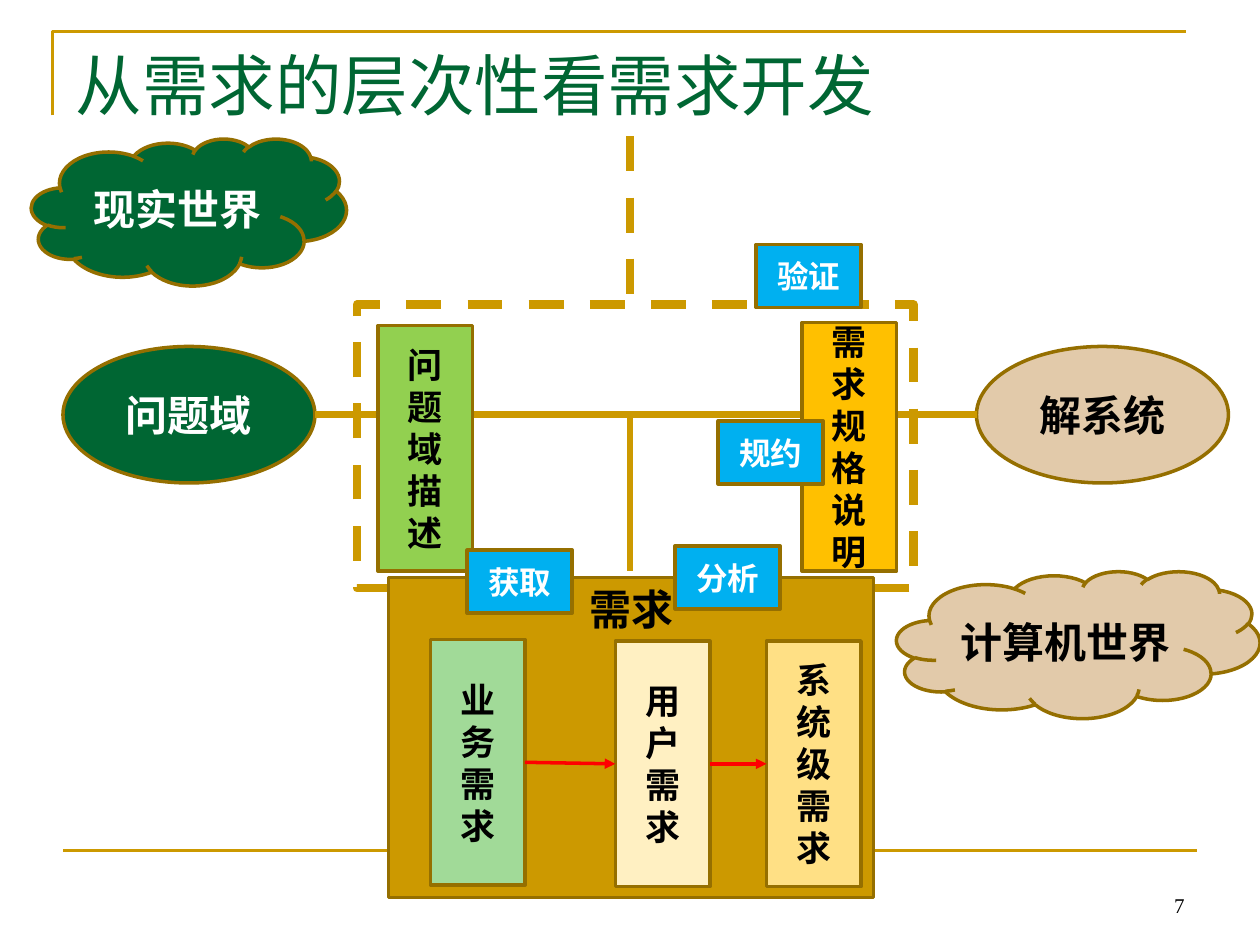
import pptx
import pptx.util
import pptx.dml.color
import pptx.enum.dml
import pptx.enum.shapes
import pptx.enum.text
import lxml.etree

Color = pptx.dml.color.RGBColor
Shape = pptx.enum.shapes.MSO_SHAPE
Anchor = pptx.enum.text.MSO_ANCHOR
Align = pptx.enum.text.PP_ALIGN
DASH = pptx.enum.dml.MSO_LINE.DASH

GOLD = Color(0xCC, 0x99, 0x00)
BROWN = Color(0x95, 0x6F, 0x00)
GREEN = Color(0x00, 0x66, 0x33)
SAND = Color(0xE2, 0xCA, 0xAA)
LIME = Color(0x92, 0xD0, 0x50)
AMBER = Color(0xFF, 0xC0, 0x00)
MINT = Color(0xA1, 0xDA, 0x98)
CREAM = Color(0xFF, 0xF0, 0xC2)
YELLOW = Color(0xFF, 0xE0, 0x85)
SKY = Color(0x00, 0xB0, 0xF0)
RED = Color(0xFF, 0x00, 0x00)
WHITE = Color(0xFF, 0xFF, 0xFF)
BLACK = Color(0x00, 0x00, 0x00)

deck = pptx.Presentation()
deck.slide_width = pptx.util.Inches(10)
deck.slide_height = pptx.util.Inches(7.5)
COLUMN = deck.slide_width / 120
ROW = deck.slide_height / 90
page = deck.slides.add_slide(deck.slide_layouts[5])


def add_box(kind, area, fill, text="", size=24, ink=BLACK, anchor=Anchor.MIDDLE):
    left, top, width, height = area
    box = page.shapes.add_shape(
        kind, round(left * COLUMN), round(top * ROW), round(width * COLUMN), round(height * ROW))
    box.shadow.inherit = False
    box.fill.solid()
    box.fill.fore_color.rgb = fill
    box.line.color.rgb = BROWN
    box.line.width = pptx.util.Pt(2)
    box.text_frame.word_wrap = True
    box.text_frame.vertical_anchor = anchor
    para = box.text_frame.paragraphs[0]
    para.alignment = Align.CENTER
    if text:
        span = para.add_run()
        span.text = text
        style = {"name": "Arial", "size": pptx.util.Pt(size), "bold": True}
        for name, value in style.items():
            setattr(span.font, name, value)
        span.font.color.rgb = ink
    return box


def add_line(start, end, color, width):
    line = page.shapes.add_connector(
        pptx.enum.shapes.MSO_CONNECTOR.STRAIGHT,
        round(start[0] * COLUMN), round(start[1] * ROW),
        round(end[0] * COLUMN), round(end[1] * ROW))
    line.line.color.rgb = color
    line.line.width = pptx.util.Pt(width)
    lxml.etree.SubElement(line._element.spPr, pptx.oxml.ns.qn("a:effectLst"))
    return line


builder = page.shapes.build_freeform(5, 11, scale=COLUMN)
builder.add_line_segments([(5, 3), (113, 3)], close=False)
corner = builder.convert_to_shape()
corner.shadow.inherit = False
corner.fill.background()
corner.line.color.rgb = GOLD
corner.line.width = pptx.util.Pt(1.5)
add_line((6, 81), (114, 81), GOLD, 1.5)

title = page.shapes.title
number = page.shapes.add_textbox(0, 0, 0, 0)
for box, area, text, size, ink, align, anchor in [
    (title, (6, 3.6, 108, 15), "从需求的层次性看需求开发", 38, GREEN, Align.LEFT, Anchor.TOP),
    (number, (86, 82, 28, 6), "7", 12, BLACK, Align.RIGHT, Anchor.BOTTOM),
]:
    for name, share, unit in zip(("left", "top", "width", "height"), area, (COLUMN, ROW) * 2):
        setattr(box, name, round(share * unit))
    box.text_frame.word_wrap = True
    box.text_frame.vertical_anchor = anchor
    para = box.text_frame.paragraphs[0]
    para.alignment = align
    span = para.add_run()
    span.text = text
    style = {"name": "Times New Roman", "size": pptx.util.Pt(size)}
    for name, value in style.items():
        setattr(span.font, name, value)
    span.font.color.rgb = ink

divider = add_line((60, 13), (60, 74), GOLD, 5)
divider.line.dash_style = DASH
frame = add_box(Shape.RECTANGLE, (34, 29, 53, 27), WHITE)
frame.line.color.rgb = GOLD
frame.line.width = pptx.util.Pt(5)
frame.line.dash_style = DASH

for kind, area, fill, text, ink in [
    (Shape.CLOUD, (3, 13.2, 30, 14), GREEN, "现实世界", WHITE),
    (Shape.CLOUD, (85.4, 54.4, 34.6, 14), SAND, "计算机世界", BLACK),
    (Shape.OVAL, (6, 33, 24, 13), GREEN, "问题域", WHITE),
    (Shape.OVAL, (93, 33, 24, 13), SAND, "解系统", BLACK),
]:
    add_box(kind, area, fill, text, ink=ink)

add_line((30, 39.5), (93, 39.5), GOLD, 4)
add_line((60, 39.5), (60, 54.4), GOLD, 4)

for left, top, height, fill, text in [
    (36, 31, 23.4, LIME, "问题域描述"),
    (76.4, 30.7, 23.7, AMBER, "需求规格说明"),
]:
    add_box(Shape.RECTANGLE, (left, top, 9, height), fill, text, 20)

add_box(Shape.RECTANGLE, (37, 55, 46.2, 30.5), GOLD, "需求", anchor=Anchor.TOP)
levels = [
    add_box(Shape.RECTANGLE, (left, top, 9, 23.4), fill, text, 20)
    for left, top, fill, text in [
        (41, 60.9, MINT, "业务需求"),
        (58.6, 61.05, CREAM, "用户需求"),
        (73, 61.05, YELLOW, "系统级需求"),
    ]
]
for source, target in zip(levels, levels[1:]):
    arrow = add_line((0, 0), (1, 1), RED, 2)
    arrow.begin_connect(source, 3)
    arrow.end_connect(target, 1)
    lxml.etree.SubElement(arrow.line._get_or_add_ln(), pptx.oxml.ns.qn("a:tailEnd"), type="triangle")

for left, top, text in [
    (44.5, 52.4, "获取"), (64.3, 52, "分析"), (68.4, 40.1, "规约"), (72, 23.3, "验证"),
]:
    add_box(Shape.RECTANGLE, (left, top, 10, 6), SKY, text, 18, WHITE)

deck.save("out.pptx")
